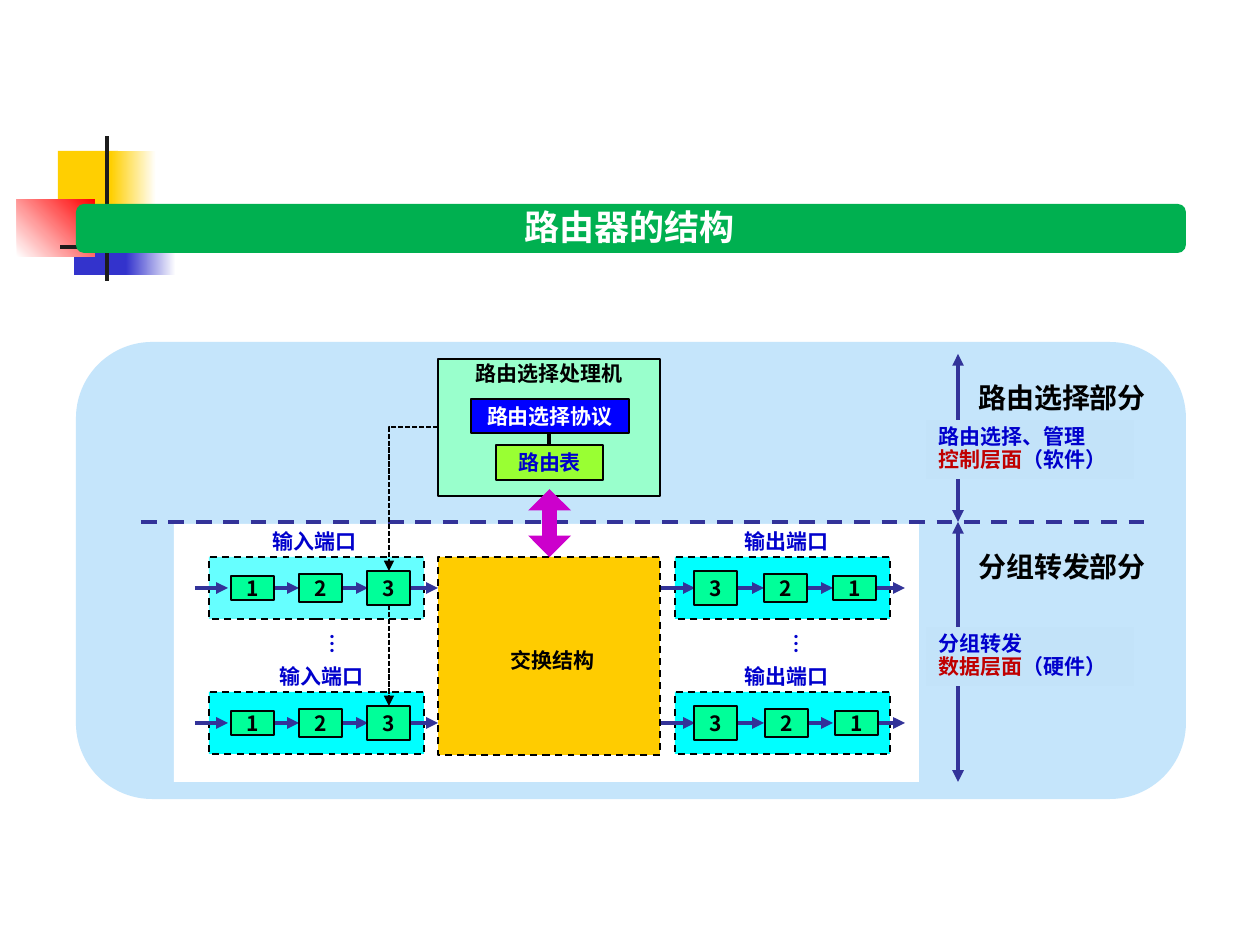
from typing import NamedTuple, Optional

from lxml.etree import SubElement
from pptx import Presentation
from pptx.dml.color import RGBColor
from pptx.enum.dml import MSO_LINE as Dash
from pptx.enum.shapes import MSO_CONNECTOR as Wire, MSO_SHAPE as Kind
from pptx.enum.text import MSO_ANCHOR as Anchor, MSO_AUTO_SIZE as Fit, PP_ALIGN as Align
from pptx.oxml.ns import qn
from pptx.util import Emu, Pt

FONT = "Noto Sans CJK SC"
BLACK, WHITE, BLUE, RED = "000000", "FFFFFF", "0000CC", "C00000"
NAVY, CYAN, MINT, SKY = "333399", "00FFFF", "00FF99", "C3E3F9"


class Box(NamedTuple):
    x: int
    y: int
    w: int
    h: int


class Run(NamedTuple):
    text: str
    color: str = BLUE
    size: int = 12


class Pen(NamedTuple):
    width: float
    color: str = BLACK
    dash: Optional[Dash] = None


class Port(NamedTuple):
    """One dashed port: cells and arrows are listed from left to right."""
    name: str
    label: int
    frame: Box
    fill: str
    cells: tuple
    arrows: tuple


def px(n: float) -> Emu:
    return Emu(round(n * 914400 / 126))


def rgb(code: str) -> RGBColor:
    return RGBColor.from_string(code)


def write(frame, rows: list, align=Align.LEFT, space: Optional[float] = None) -> None:
    for i, row in enumerate(rows):
        para = frame.paragraphs[0] if i == 0 else frame.add_paragraph()
        para.alignment = align
        para.line_spacing = space
        for part in row:
            run = para.add_run()
            run.text = part.text
            font = run.font
            font.name, font.size, font.bold = FONT, Pt(part.size), True
            font.color.rgb = rgb(part.color)
            SubElement(font._element, qn("a:ea"), typeface=FONT)


def ink(line, pen: Pen) -> None:
    line.width = Pt(pen.width)
    line.color.rgb = rgb(pen.color)
    if pen.dash:
        line.dash_style = pen.dash


def shape(box: Box, fill: str, pen: Optional[Pen] = None, kind=Kind.RECTANGLE):
    item = slide.shapes.add_shape(kind, *map(px, box))
    item.shadow.inherit = False
    item.fill.solid()
    item.fill.fore_color.rgb = rgb(fill)
    if pen:
        ink(item.line, pen)
    else:
        item.line.fill.background()
    return item


def fade(box: Box, start: str, end: str, angle: int = 0) -> None:
    """Draw a gradient block; the angle runs counter-clockwise."""
    fill = shape(box, start).fill
    fill.gradient()
    fill.gradient_angle = angle
    for stop, code, place in zip(fill.gradient_stops, (start, end), (0, 1)):
        stop.color.rgb = rgb(code)
        stop.position = place


def cell(box: Box, fill: str, run: Run) -> None:
    frame = shape(box, fill, Pen(1.5)).text_frame
    frame.word_wrap = False
    frame.vertical_anchor = Anchor.MIDDLE
    write(frame, [[run]], Align.CENTER)


def label(box: Box, run: Run, turn: int = 0) -> None:
    item = slide.shapes.add_textbox(*map(px, box))
    item.rotation = turn
    frame = item.text_frame
    frame.word_wrap = False
    frame.auto_size = Fit.SHAPE_TO_FIT_TEXT
    write(frame, [[run]])


def link(x1: int, y1: int, x2: int, y2: int, pen: Pen, ends: tuple = (), bent: bool = False) -> None:
    """Draw a line; ends names where arrowheads sit: headEnd, tailEnd."""
    wire = slide.shapes.add_connector(Wire.STRAIGHT, px(x1), px(y1), px(x2), px(y2))
    ink(wire.line, pen)
    props = wire._element.spPr
    if bent:
        props.find(qn("a:prstGeom")).set("prst", "bentConnector2")
    for end in ends:
        SubElement(props.find(qn("a:ln")), qn(f"a:{end}"), type="triangle")
    SubElement(props, qn("a:effectLst"))


def note(y: int, top: str, level: str, ware: str) -> None:
    frame = shape(Box(926, y, 208, 59), SKY).text_frame
    frame.word_wrap = True
    frame.vertical_anchor = Anchor.TOP
    write(frame, [[Run(top)], [Run(level, RED), Run(ware)]], space=0.9)


def draw_port(port: Port) -> None:
    frame = port.frame
    mid = frame.y + 31
    shape(frame, port.fill, Pen(1, dash=Dash.DASH))
    for x1, x2 in port.arrows:
        link(x1, mid, x2, mid, BOLD, ("tailEnd",))
    for digit, x in port.cells:
        high = HIGH[digit]
        cell(Box(x, mid - high // 2, 43, high), MINT, Run(digit, BLACK))
    label(Box(port.label, frame.y - 35, 111, 38), Run(port.name))


BOLD = Pen(2.25, NAVY)
DOTS = Pen(1, dash=Dash.SQUARE_DOT)
HIGH = {"1": 24, "2": 28, "3": 34}
IN = ((195, 228), (270, 299), (340, 368), (411, 438))
OUT = ((661, 695), (736, 764), (805, 833), (876, 905))
LEFT = (("1", 231), ("2", 299), ("3", 367))
ROWS = (557, 692)
PORTS = [
    Port("输入端口", 260, Box(209, ROWS[0], 215, 62), "66FFFF", LEFT, IN),
    Port("输入端口", 267, Box(209, ROWS[1], 215, 62), CYAN, LEFT, IN),
    Port("输出端口", 732, Box(675, ROWS[0], 215, 62), CYAN,
         (("3", 694), ("2", 764), ("1", 833)), OUT),
    Port("输出端口", 732, Box(675, ROWS[1], 215, 62), CYAN,
         (("3", 694), ("2", 765), ("1", 835)), OUT),
]

deck = Presentation()
deck.slide_width, deck.slide_height = px(1260), px(945)
slide = deck.slides.add_slide(deck.slide_layouts[5])

# Corner ornament
shape(Box(58, 151, 60, 66), "FFCF01")
fade(Box(111, 151, 45, 66), "FFCF01", WHITE)
shape(Box(74, 209, 58, 66), "3333CC")
fade(Box(126, 209, 50, 66), "3333CC", WHITE)
fade(Box(17, 199, 78, 58), WHITE, "FF0000", 45)
shape(Box(105, 136, 4, 145), "1C1C1C")
fade(Box(60, 245, 1134, 4), "1C1C1C", WHITE)

# Title goes above its bar
shape(Box(76, 204, 1110, 49), "00B050", kind=Kind.ROUNDED_RECTANGLE)
title = slide.shapes.title
title.left, title.top, title.width, title.height = map(px, Box(267, 199, 725, 55))
title.text_frame.auto_size = Fit.NONE
title.text_frame.vertical_anchor = Anchor.MIDDLE
write(title.text_frame, [[Run("路由器的结构", WHITE, 20)]], Align.CENTER)
title._element.getparent().append(title._element)

# Panels
shape(Box(76, 342, 1110, 457), "C5E5FB", kind=Kind.ROUNDED_RECTANGLE)
shape(Box(174, 524, 745, 258), WHITE)

# Routing processor
shape(Box(438, 359, 222, 137), "99FFCC", Pen(1))
label(Box(463, 354, 208, 38), Run("路由选择处理机", BLACK))
link(549, 425, 549, 445, Pen(2.25))
cell(Box(471, 399, 158, 34), "0000FF", Run("路由选择协议", WHITE))
cell(Box(496, 445, 107, 35), "99FF33", Run("路由表"))

# Two planes on the right
link(141, 522, 1148, 522, Pen(2.25, NAVY, Dash.DASH))
for y1, y2 in ((354, 522), (522, 782)):
    link(958, y1, 958, y2, BOLD, ("headEnd", "tailEnd"))
note(420, "路由选择、管理", "控制层面", "（软件）")
note(627, "分组转发", "数据层面", "（硬件）")
label(Box(966, 374, 195, 47), Run("路由选择部分", BLACK, 16))
label(Box(966, 543, 195, 47), Run("分组转发部分", BLACK, 16))

# Switch fabric and ports
shape(Box(438, 557, 222, 198), "FFCC00", Pen(1, dash=Dash.DASH))
label(Box(498, 641, 111, 38), Run("交换结构", BLACK))
for port in PORTS:
    draw_port(port)
for x in (310, 774):
    label(Box(x, 625, 45, 38), Run("…"), 90)

# Links from the processor
arrow = shape(Box(528, 489, 43, 68), "CC00CC", kind=Kind.UP_DOWN_ARROW)
arrow.adjustments[0], arrow.adjustments[1] = 0.5, 0.34
link(438, 427, 389, 571, DOTS, ("tailEnd",), bent=True)
link(389, 605, 389, 706, DOTS, ("tailEnd",))

deck.save("out.pptx")
